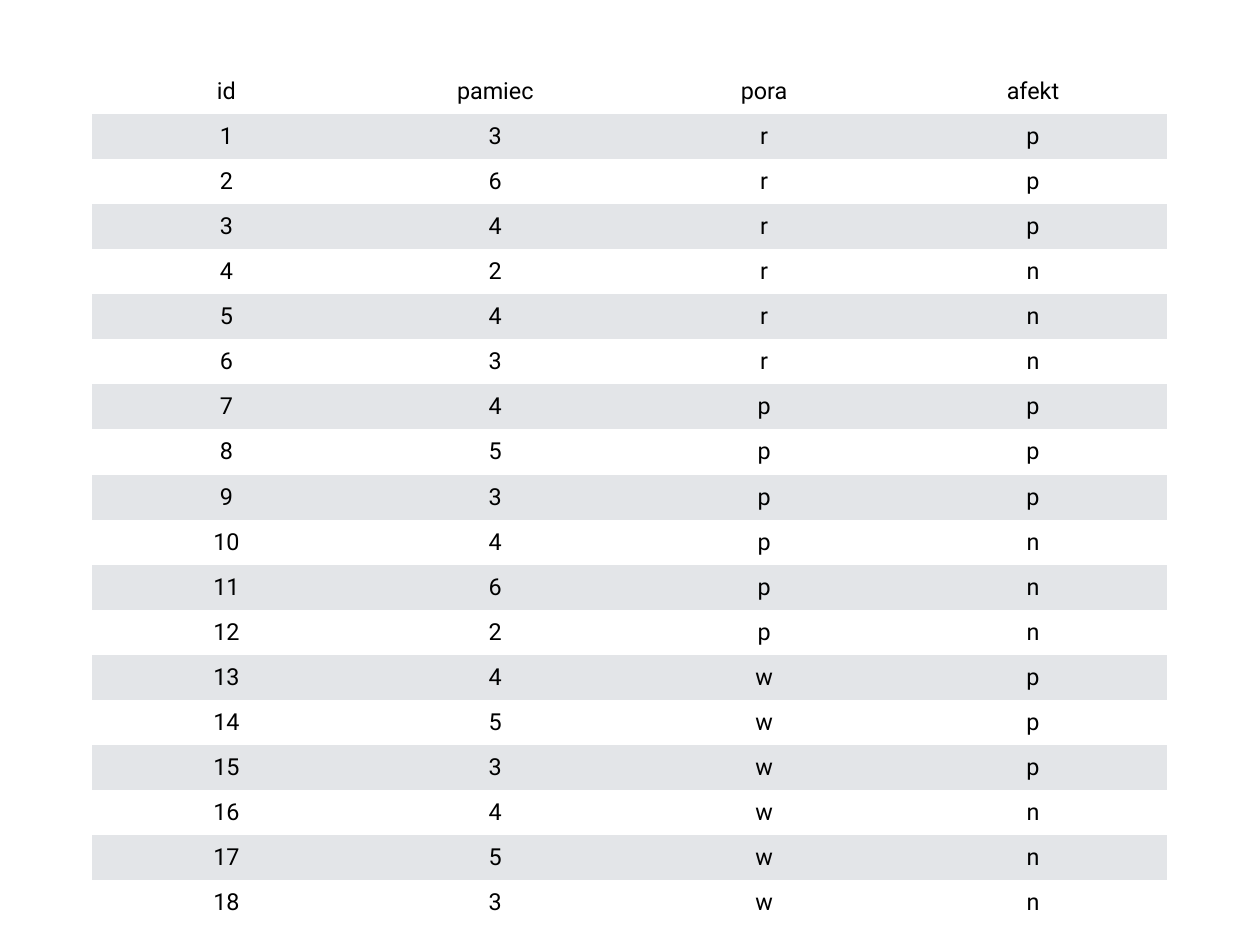
"""Build a slide with a table of memory scores by time of day and affect."""
from pptx import Presentation
from pptx.dml.color import RGBColor
from pptx.enum.text import MSO_ANCHOR, PP_ALIGN
from pptx.util import Pt

MIDDLE = MSO_ANCHOR.MIDDLE
CENTER = PP_ALIGN.CENTER

HEADINGS = ("id", "pamiec", "pora", "afekt")
SCORES = (
    ("r", "p", (3, 6, 4)),
    ("r", "n", (2, 4, 3)),
    ("p", "p", (4, 5, 3)),
    ("p", "n", (4, 6, 2)),
    ("w", "p", (4, 5, 3)),
    ("w", "n", (4, 5, 3)),
)

COLORS = {"text": "000000", "plain": "FFFFFF", "band": "E3E5E8"}
FONT, FONT_SIZE = "Roboto", 19
SLIDE_WIDTH, SLIDE_HEIGHT = 1024, 768
LEFT, TOP = 74.75, 56
COLUMN_WIDTH, ROW_HEIGHT = 218.5, 36.63
CELL_MARGIN = 4.5
NO_GRID_STYLE = "{2D5ABB26-0587-4C30-8999-92F81FD0307C}"

measurements = [
    (score, time_of_day, affect)
    for time_of_day, affect, scores in SCORES
    for score in scores
]
records = [HEADINGS] + [
    (number, *measurement) for number, measurement in enumerate(measurements, 1)
]

presentation = Presentation()
presentation.slide_width = Pt(SLIDE_WIDTH)
presentation.slide_height = Pt(SLIDE_HEIGHT)
slide = presentation.slides.add_slide(presentation.slide_layouts[6])

results_frame = slide.shapes.add_table(
    len(records), len(HEADINGS), Pt(LEFT), Pt(TOP),
    Pt(COLUMN_WIDTH * len(HEADINGS)), Pt(ROW_HEIGHT * len(records)),
)
results_frame.element.xpath(".//a:tableStyleId")[0].text = NO_GRID_STYLE
results = results_frame.table
for column in results.columns:
    column.width = Pt(COLUMN_WIDTH)

for row_index, record in enumerate(records):
    results.rows[row_index].height = Pt(ROW_HEIGHT)
    row_color = COLORS["band" if row_index % 2 else "plain"]
    for column_index, value in enumerate(record):
        cell = results.cell(row_index, column_index)
        cell.fill.solid()
        cell.fill.fore_color.rgb = RGBColor.from_string(row_color)
        cell.vertical_anchor = MIDDLE
        cell.margin_left = cell.margin_right = Pt(CELL_MARGIN)
        cell.margin_top = cell.margin_bottom = Pt(CELL_MARGIN)
        cell.text = str(value)
        paragraph = cell.text_frame.paragraphs[0]
        paragraph.alignment = CENTER
        paragraph.font.name = FONT
        paragraph.font.size = Pt(FONT_SIZE)
        paragraph.font.color.rgb = RGBColor.from_string(COLORS["text"])

presentation.save("out.pptx")
